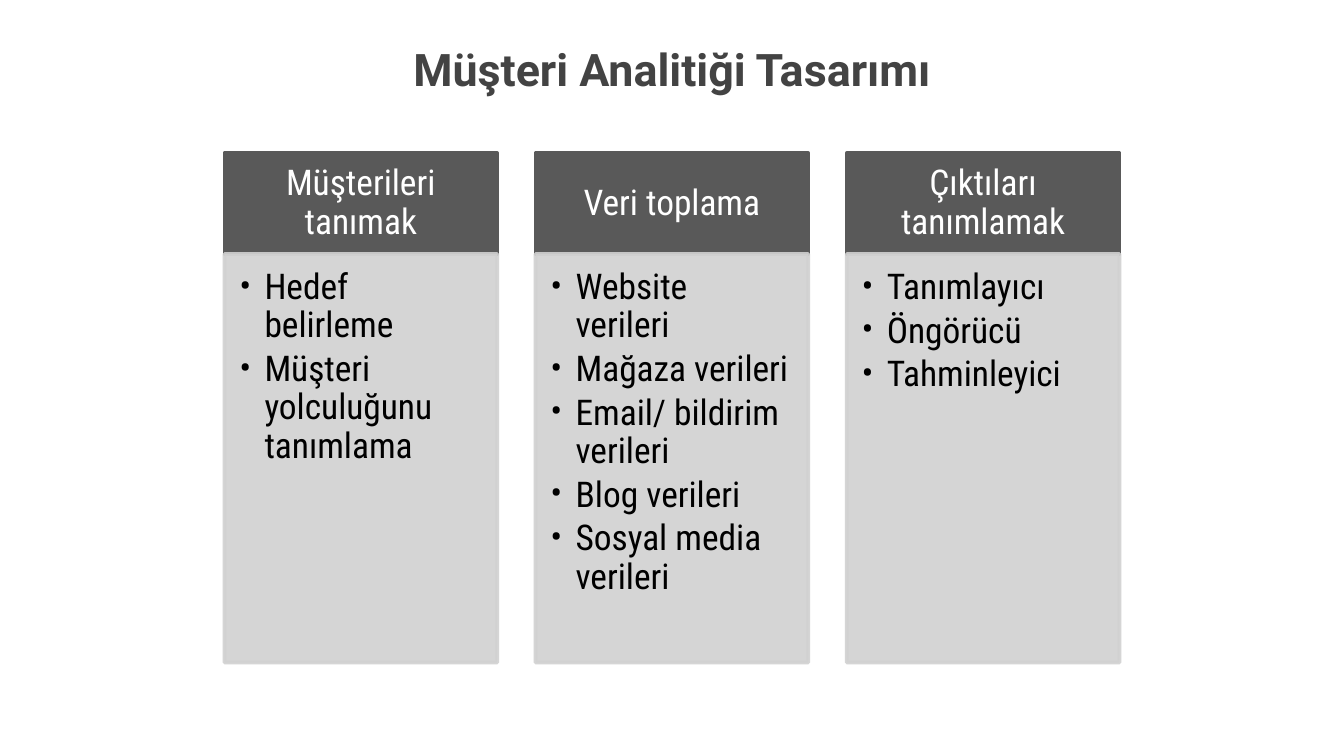
import pptx
import pptx.util
import pptx.dml.color
import pptx.enum.shapes
import pptx.enum.text
import pptx.oxml.ns
import lxml.etree

Inches = pptx.util.Inches
Pt = pptx.util.Pt
RGBColor = pptx.dml.color.RGBColor
PP_ALIGN = pptx.enum.text.PP_ALIGN
MSO_ANCHOR = pptx.enum.text.MSO_ANCHOR
qn = pptx.oxml.ns.qn

TITLE_GRAY = RGBColor(0x43, 0x43, 0x43)
HEADER_GRAY = RGBColor(0x59, 0x59, 0x59)
BODY_GRAY = RGBColor(0xD1, 0xD1, 0xD1)
WHITE = RGBColor(0xFF, 0xFF, 0xFF)
BLACK = RGBColor(0x00, 0x00, 0x00)

SLIDE_WIDTH = 10
HEADER_HEIGHT = 0.75
BULLET_INDENT = Pt(13.5)
COLUMNS = [
    ("Müşterileri tanımak", ["Hedef belirleme", "Müşteri yolculuğunu tanımlama"]),
    ("Veri toplama", ["Website verileri", "Mağaza verileri", "Email/ bildirim verileri",
                      "Blog verileri", "Sosyal media verileri"]),
    ("Çıktıları tanımlamak", ["Tanımlayıcı", "Öngörücü", "Tahminleyici"]),
]


def add_bullet(paragraph, font, color):
    properties = paragraph._p.get_or_add_pPr()
    properties.set("marL", str(int(BULLET_INDENT)))
    properties.set("indent", str(-int(BULLET_INDENT)))
    bullet_color = lxml.etree.SubElement(properties, qn("a:buClr"))
    lxml.etree.SubElement(bullet_color, qn("a:srgbClr")).set("val", str(color))
    lxml.etree.SubElement(properties, qn("a:buFont")).set("typeface", font)
    lxml.etree.SubElement(properties, qn("a:buChar")).set("char", "•")


def write_text(shape, lines, *, size, color, font="Roboto Condensed", bold=False,
               align=PP_ALIGN.LEFT, anchor=MSO_ANCHOR.TOP, insets, spacing=1.0,
               space_after=0, bullets=False):
    frame = shape.text_frame
    frame.word_wrap = True
    frame.vertical_anchor = anchor
    frame.margin_left, frame.margin_top, frame.margin_right, frame.margin_bottom = insets
    for index, line in enumerate(lines):
        paragraph = frame.paragraphs[0] if index == 0 else frame.add_paragraph()
        paragraph.alignment = align
        paragraph.line_spacing = spacing
        paragraph.space_after = Pt(space_after)
        if bullets:
            add_bullet(paragraph, font, color)
        run = paragraph.add_run()
        run.text = line
        run.font.name = font
        run.font.size = Pt(size)
        run.font.bold = bold
        run.font.color.rgb = color


def add_panel(slide, left, top, width, height, color, opacity=100):
    shape = slide.shapes.add_shape(
        pptx.enum.shapes.MSO_SHAPE.RECTANGLE,
        Inches(left), Inches(top), Inches(width), Inches(height))
    shape.shadow.inherit = False
    shape.fill.solid()
    shape.fill.fore_color.rgb = color
    shape.line.color.rgb = color
    shape.line.width = Pt(2)
    if opacity < 100:
        for color_element in shape._element.spPr.iter(qn("a:srgbClr")):
            alpha = lxml.etree.SubElement(color_element, qn("a:alpha"))
            alpha.set("val", str(opacity * 1000))
    return shape


def add_title(slide, left, top, width, height):
    title = slide.shapes.add_textbox(Inches(left), Inches(top), Inches(width), Inches(height))
    write_text(title, ["Müşteri Analitiği Tasarımı"], size=24, color=TITLE_GRAY,
               font="Roboto", bold=True, align=PP_ALIGN.CENTER, insets=[Inches(0.1)] * 4)


def add_column(slide, left, top, width, height, heading, items):
    header = add_panel(slide, left, top, width, HEADER_HEIGHT, HEADER_GRAY)
    write_text(header, [heading], size=19, color=WHITE, align=PP_ALIGN.CENTER,
               anchor=MSO_ANCHOR.MIDDLE, spacing=0.9, space_after=6.65,
               insets=[Inches(0.15), Inches(0.08)] * 2)
    body = add_panel(slide, left, top + HEADER_HEIGHT, width, height - HEADER_HEIGHT,
                     BODY_GRAY, opacity=90)
    write_text(body, items, size=19, color=BLACK, spacing=0.9, space_after=2.85,
               insets=[Pt(7.98), Pt(7.98), Pt(10.64), Pt(11.97)], bullets=True)


def add_columns(slide, left, top, width, height, column_width):
    pitch = (width - column_width) / (len(COLUMNS) - 1)
    for index, (heading, items) in enumerate(COLUMNS):
        add_column(slide, left + index * pitch, top, column_width, height, heading, items)


def main():
    presentation = pptx.Presentation()
    presentation.slide_width = Inches(SLIDE_WIDTH)
    presentation.slide_height = Inches(SLIDE_WIDTH * 9 / 16)
    slide = presentation.slides.add_slide(presentation.slide_layouts[6])
    add_title(slide, 2.15, 0.21, 5.7, 0.83)
    add_columns(slide, 1.67, 1.14, 6.66, 3.79, column_width=2.03)
    presentation.save("out.pptx")


if __name__ == "__main__":
    main()
